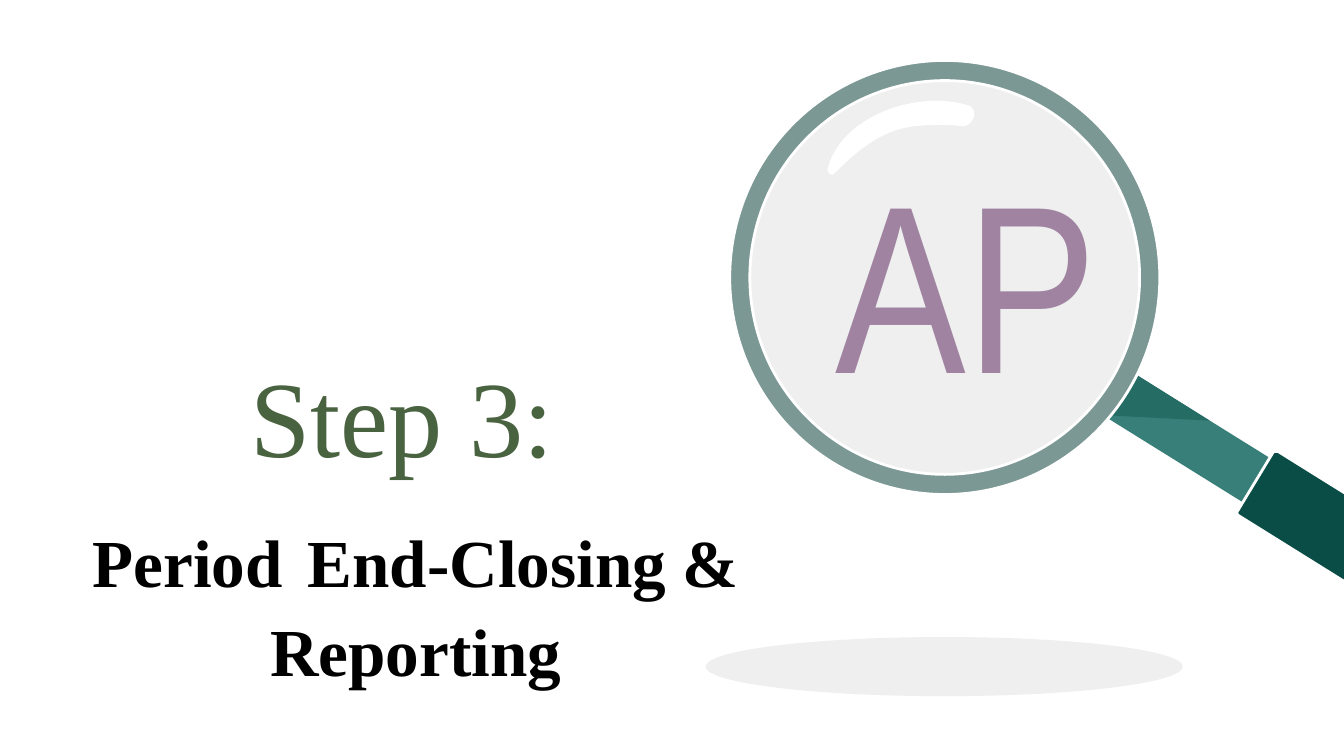
from dataclasses import dataclass

from pptx import Presentation
from pptx.dml.color import RGBColor
from pptx.enum.shapes import MSO_SHAPE
from pptx.enum.text import MSO_ANCHOR, PP_ALIGN
from pptx.util import Inches, Pt

OVAL, DONUT = MSO_SHAPE.OVAL, MSO_SHAPE.DONUT
MIDDLE = MSO_ANCHOR.MIDDLE
LEFT, CENTER = PP_ALIGN.LEFT, PP_ALIGN.CENTER
SERIF, NARROW = "Times New Roman", "Arial Narrow"
SLIDE_WIDTH = 10
SLIDE_HEIGHT = SLIDE_WIDTH * 9 / 16
CURVE_STEPS = 12
UNITS_PER_INCH = 10000

COLORS = {
    "white": "FFFFFF",
    "black": "000000",
    "glass": "EFEFEF",
    "rim": "7B9895",
    "ferrule": "377F78",
    "ferrule_shade": "256C65",
    "grip": "0A4D47",
    "step": "496240",
    "initials": "9F83A1",
}


@dataclass(frozen=True)
class Box:
    left: float
    top: float
    width: float
    height: float


@dataclass(frozen=True)
class TextRun:
    text: str
    size: int
    font: str
    color: str
    bold: bool = False
    break_after: bool = False


@dataclass(frozen=True)
class Outline:
    color: str
    start: tuple
    segments: list
    line_width: float = 0


def rgb(name: str) -> RGBColor:
    return RGBColor.from_string(COLORS[name])


def paint(shape, color: str, line_width: float) -> None:
    shape.shadow.inherit = False
    shape.fill.solid()
    shape.fill.fore_color.rgb = rgb(color)
    if line_width:
        shape.line.color.rgb = rgb("white")
        shape.line.width = Pt(line_width)
    else:
        shape.line.fill.background()


def add_round(slide, kind, box: Box, color: str, line_width: float = 0):
    shape = slide.shapes.add_shape(
        kind, Inches(box.left), Inches(box.top), Inches(box.width), Inches(box.height)
    )
    paint(shape, color, line_width)
    return shape


def bezier(start: tuple, segment: tuple) -> list:
    points = [start, segment[:2], segment[2:4], segment[4:]]
    result = []
    for step in range(1, CURVE_STEPS + 1):
        t = step / CURVE_STEPS
        weights = ((1 - t) ** 3, 3 * t * (1 - t) ** 2, 3 * t**2 * (1 - t), t**3)
        result.append(
            tuple(sum(w * p[axis] for w, p in zip(weights, points)) for axis in (0, 1))
        )
    return result


def add_outline(slide, outline: Outline) -> None:
    points = [outline.start]
    for segment in outline.segments:
        points += [segment] if len(segment) == 2 else bezier(points[-1], segment)
    scaled = [(round(x * UNITS_PER_INCH), round(y * UNITS_PER_INCH)) for x, y in points]
    builder = slide.shapes.build_freeform(
        *scaled[0], scale=Inches(1) / UNITS_PER_INCH
    )
    builder.add_line_segments(scaled[1:], close=True)
    paint(builder.convert_to_shape(), outline.color, outline.line_width)


def add_text(slide, box: Box, runs: list, alignment) -> None:
    text_box = slide.shapes.add_textbox(
        Inches(box.left), Inches(box.top), Inches(box.width), Inches(box.height)
    )
    frame = text_box.text_frame
    frame.word_wrap = True
    frame.vertical_anchor = MIDDLE
    frame.margin_left = frame.margin_right = Inches(0.1)
    frame.margin_top = frame.margin_bottom = Inches(0.1)
    paragraph = frame.paragraphs[0]
    paragraph.alignment = alignment
    for text_run in runs:
        run = paragraph.add_run()
        run.text = text_run.text
        run.font.size = Pt(text_run.size)
        run.font.name = text_run.font
        run.font.bold = text_run.bold
        run.font.color.rgb = rgb(text_run.color)
        if text_run.break_after:
            paragraph.add_line_break()


HANDLE = [
    Outline("ferrule", (8.39, 2.75), [(8.19, 3.08), (9.54, 3.92), (9.74, 3.59)]),
    Outline(
        "ferrule_shade",
        (8.41, 2.76),
        [(8.41, 2.76, 8.32, 2.96, 8.21, 3.09), (9, 3.13)],
    ),
    Outline(
        "grip",
        (9.5, 3.36),
        [
            (9.49, 3.36, 9.47, 3.36, 9.47, 3.37),
            (9.21, 3.8),
            (9.2, 3.81, 9.2, 3.83, 9.22, 3.84),
            (10.6, 4.7),
            (10.63, 4.72, 10.67, 4.73, 10.7, 4.73),
            (10.77, 4.73, 10.83, 4.7, 10.87, 4.64),
            (10.96, 4.5),
            (11.01, 4.4, 10.98, 4.28, 10.89, 4.22),
            (9.51, 3.36),
        ],
        1.5,
    ),
]

GLINT = Outline(
    "white",
    (6.97, 0.75),
    [
        (6.83, 0.75, 6.68, 0.78, 6.55, 0.84),
        (6.37, 0.92, 6.21, 1.06, 6.16, 1.25),
        (6.15, 1.27, 6.17, 1.3, 6.19, 1.3),
        (6.2, 1.3, 6.2, 1.29, 6.21, 1.29),
        (6.33, 1.17, 6.45, 1.06, 6.61, 0.99),
        (6.73, 0.94, 6.85, 0.93, 6.98, 0.93),
        (7.04, 0.93, 7.1, 0.93, 7.16, 0.94),
        (7.25, 0.94, 7.29, 0.8, 7.19, 0.78),
        (7.12, 0.76, 7.05, 0.75, 6.97, 0.75),
    ],
)

TITLE = [
    TextRun("Step 3: ", 58, SERIF, "step", break_after=True),
    TextRun("Period", 36, SERIF, "black", bold=True),
    TextRun(" ", 58, NARROW, "black"),
    TextRun("End-Closing & Reporting", 36, SERIF, "black", bold=True),
]
INITIALS = [TextRun("AP", 128, NARROW, "initials")]


def main() -> None:
    presentation = Presentation()
    presentation.slide_width = Inches(SLIDE_WIDTH)
    presentation.slide_height = Inches(SLIDE_HEIGHT)
    slide = presentation.slides.add_slide(presentation.slide_layouts[6])

    add_round(slide, OVAL, Box(5.54, 0.56, 2.98, 3.01), "glass", 3)
    add_text(slide, Box(0.21, 2.29, 5.77, 3.15), TITLE, CENTER)
    add_text(slide, Box(6.12, 1.17, 3.33, 1.79), INITIALS, LEFT)
    add_round(slide, OVAL, Box(5.25, 4.74, 3.55, 0.44), "glass")
    for outline in HANDLE:
        add_outline(slide, outline)
    rim = add_round(slide, DONUT, Box(5.43, 0.45, 3.2, 3.23), "rim", 1.5)
    rim.adjustments[0] = 0.15 / 3.2
    add_outline(slide, GLINT)

    presentation.save("out.pptx")


if __name__ == "__main__":
    main()
